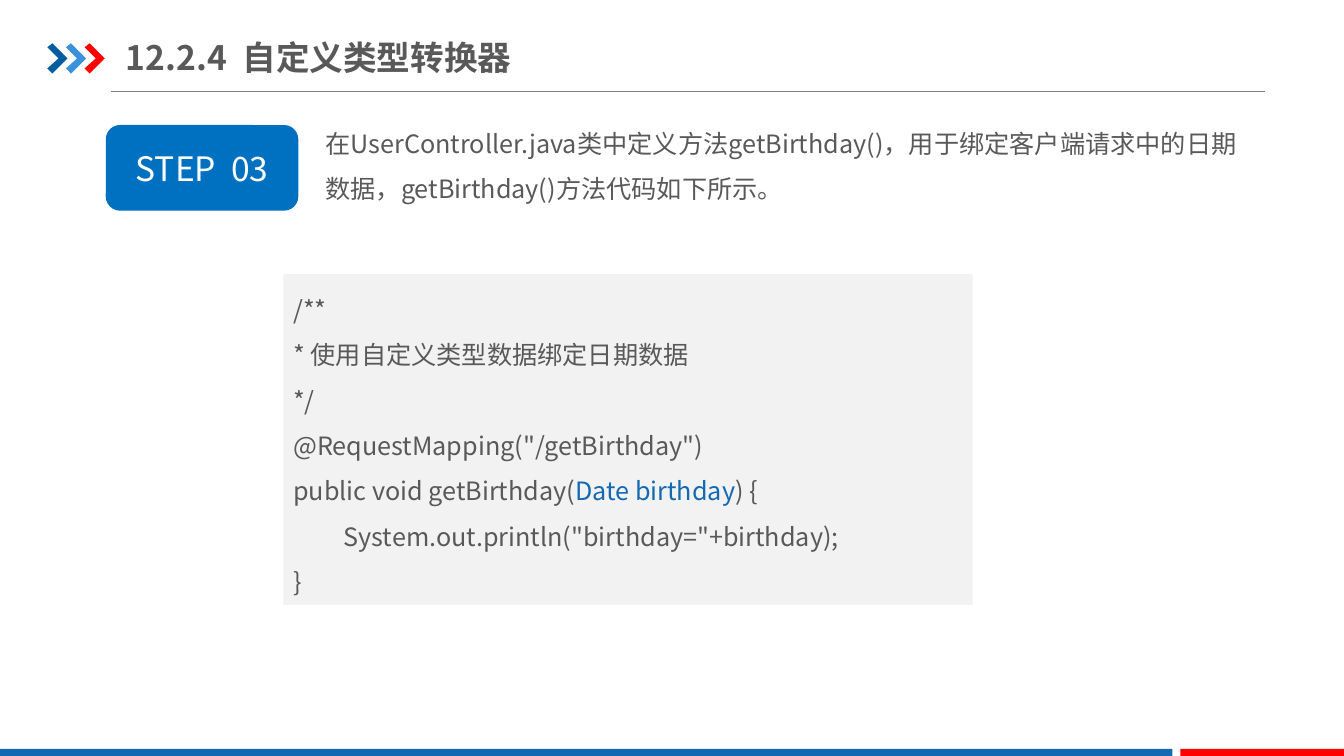
from dataclasses import dataclass

from lxml import etree
from pptx import Presentation
from pptx.dml.color import RGBColor
from pptx.enum.shapes import MSO_CONNECTOR, MSO_SHAPE
from pptx.enum.text import MSO_ANCHOR, PP_ALIGN
from pptx.oxml.ns import qn
from pptx.util import Inches, Pt

RECTANGLE, ROUNDED = MSO_SHAPE.RECTANGLE, MSO_SHAPE.ROUNDED_RECTANGLE
STRAIGHT = MSO_CONNECTOR.STRAIGHT
LEFT, CENTER = PP_ALIGN.LEFT, PP_ALIGN.CENTER
TOP, MIDDLE = MSO_ANCHOR.TOP, MSO_ANCHOR.MIDDLE
COLUMNS, ROWS = 160, 90
WIDTH, HEIGHT = Inches(13.33), Inches(7.5)


@dataclass(frozen=True)
class Theme:
    """Colours, font and type sizes of the deck."""

    font: str = "Noto Sans CJK SC"
    text: str = "595959"
    rule: str = "808080"
    panel: str = "F2F2F2"
    white: str = "FFFFFF"
    badge: str = "0070C0"
    accent: str = "1369B2"
    red: str = "FF0000"
    chevrons: tuple = ("005DA2", "3992DB", "FF0000")
    title_size: int = 24
    body_size: int = 18
    line_spacing: float = 1.5


THEME = Theme()


@dataclass(frozen=True)
class Box:
    """A rectangle measured in grid columns and rows."""

    left: float
    top: float
    width: float
    height: float

    def inner(self, left, top, width, height):
        """Return a box placed relative to this one."""
        return Box(self.left + left, self.top + top, width, height)

    def lengths(self):
        """Return left, top, width and height as slide lengths."""
        return (
            int(self.left * WIDTH / COLUMNS),
            int(self.top * HEIGHT / ROWS),
            int(self.width * WIDTH / COLUMNS),
            int(self.height * HEIGHT / ROWS),
        )


def apply(target, values):
    """Set every attribute named in a dict of format values."""
    for name, value in values.items():
        setattr(target, name, value)


def paint(shape, color):
    """Give a shape a flat fill without line or shadow."""
    shape.shadow.inherit = False
    shape.fill.solid()
    shape.fill.fore_color.rgb = RGBColor.from_string(color)
    shape.line.fill.background()


def add_block(slide, kind, box, color):
    """Add a flat preset shape."""
    shape = slide.shapes.add_shape(kind, *box.lengths())
    paint(shape, color)
    return shape


def write(shape, lines, size=THEME.body_size, color=THEME.text, bold=False,
          align=LEFT, spacing=THEME.line_spacing, **frame_format):
    """Write lines, each a list of (text, colour or None) runs."""
    frame = shape.text_frame
    apply(frame, {"word_wrap": True, "vertical_anchor": TOP, **frame_format})
    for index, line in enumerate(lines):
        paragraph = frame.add_paragraph() if index else frame.paragraphs[0]
        apply(paragraph, {"alignment": align, "line_spacing": spacing,
                          "space_before": Pt(0)})
        for text, run_color in line:
            run = paragraph.add_run()
            run.text = text
            apply(run.font, {"name": THEME.font, "size": Pt(size), "bold": bold})
            run.font.color.rgb = RGBColor.from_string(run_color or color)
            east_asian = etree.SubElement(run.font._element, qn("a:ea"))
            east_asian.set("typeface", THEME.font)


def add_chevron(slide, box, color):
    """Draw one right-pointing chevron filling the box."""
    left, top, width, height = box.lengths()
    outline = [(0, 0.13), (0.25, 0), (1, 0.5), (0.25, 1), (0, 0.83), (0.55, 0.5)]
    points = [(int(left + x * width), int(top + y * height)) for x, y in outline]
    builder = slide.shapes.build_freeform(*points[0])
    builder.add_line_segments(points[1:], close=True)
    paint(builder.convert_to_shape(), color)


def add_header(slide, box, title):
    """Place chevrons, title and the rule below them."""
    left, top, width, _ = box.inner(7.56, box.height, box.width - 7.56, 0).lengths()
    rule = slide.shapes.add_connector(STRAIGHT, left, top, left + width, top)
    rule.line.color.rgb = RGBColor.from_string(THEME.rule)
    rule.line.width = Pt(0.5)
    etree.SubElement(rule._element.spPr, qn("a:effectLst"))
    for index, color in enumerate(THEME.chevrons):
        add_chevron(slide, box.inner(index * 2.22, 1.68, 2.4, 3.6), color)
    shape = slide.shapes.title
    names = ("left", "top", "width", "height")
    apply(shape, dict(zip(names, box.inner(9.36, 0, 64, 6.6).lengths())))
    write(shape, [[(title, None)]], size=THEME.title_size, bold=True, spacing=1.0,
          vertical_anchor=MIDDLE, margin_left=0, margin_right=0)


def add_footer(slide, box):
    """Place the two-colour band along the bottom."""
    blue, gap = 139.56, 0.96
    red = blue + gap
    add_block(slide, RECTANGLE, box.inner(0, 0, blue, box.height), THEME.accent)
    add_block(slide, RECTANGLE, box.inner(red, 0, box.width - red, box.height), THEME.red)


def add_step(slide, box, label, description):
    """Place a step badge with its description to the right."""
    badge = add_block(slide, ROUNDED, box.inner(0, 2.04, 22.92, 10.2), THEME.badge)
    write(badge, [[(label, None)]], size=THEME.title_size, color=THEME.white,
          align=CENTER, spacing=1.0, vertical_anchor=MIDDLE)
    text_box = box.inner(24.96, 0, box.width - 24.96, box.height)
    write(slide.shapes.add_textbox(*text_box.lengths()), [[(description, None)]])


def add_code(slide, box, lines):
    """Place a code listing on a pale panel."""
    write(add_block(slide, RECTANGLE, box, THEME.panel), lines)


def main():
    """Build and save the slide."""
    presentation = Presentation()
    apply(presentation, {"slide_width": WIDTH, "slide_height": HEIGHT})
    slide = presentation.slides.add_slide(
        presentation.slide_layouts.get_by_name("Title Only"))
    add_header(slide, Box(5.64, 3.48, 144.96, 7.44), "12.2.4  自定义类型转换器")
    add_footer(slide, Box(0, 89.16, COLUMNS, 0.84))
    add_step(
        slide, Box(12.6, 12.84, 136.32, 12.24), "STEP  03",
        "在UserController.java类中定义方法getBirthday()，用于绑定客户端请求中的日期数据，"
        "getBirthday()方法代码如下所示。")
    add_code(slide, Box(33.72, 32.64, 82.08, 39.36), [
        [("/**", None)],
        [("* 使用自定义类型数据绑定日期数据", None)],
        [("*/", None)],
        [('@RequestMapping("/getBirthday")', None)],
        [("public void getBirthday(", None), ("Date birthday", THEME.accent),
         (") {", None)],
        [('\tSystem.out.println("birthday="+birthday);', None)],
        [("}", None)],
    ])
    presentation.save("out.pptx")


if __name__ == "__main__":
    main()
